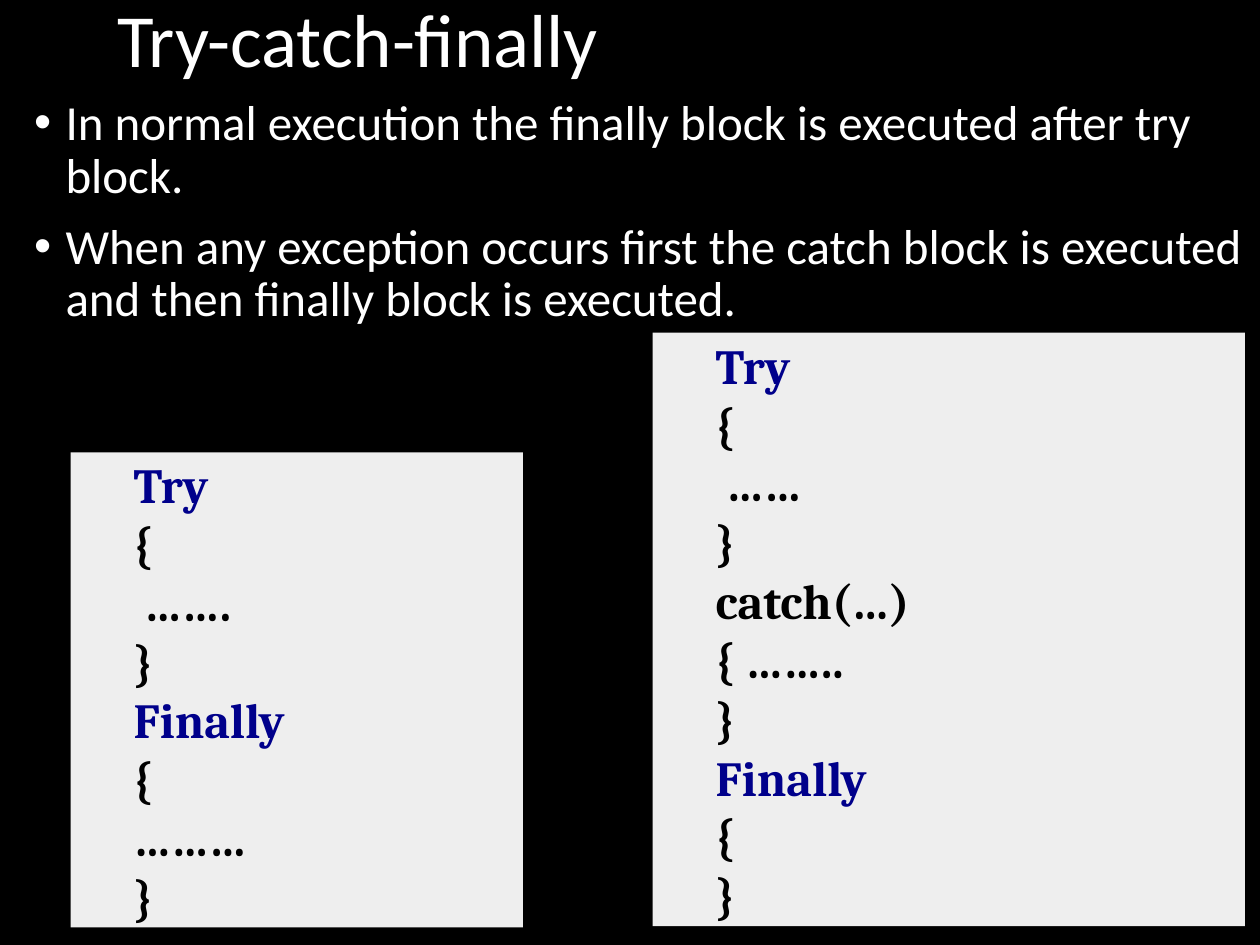
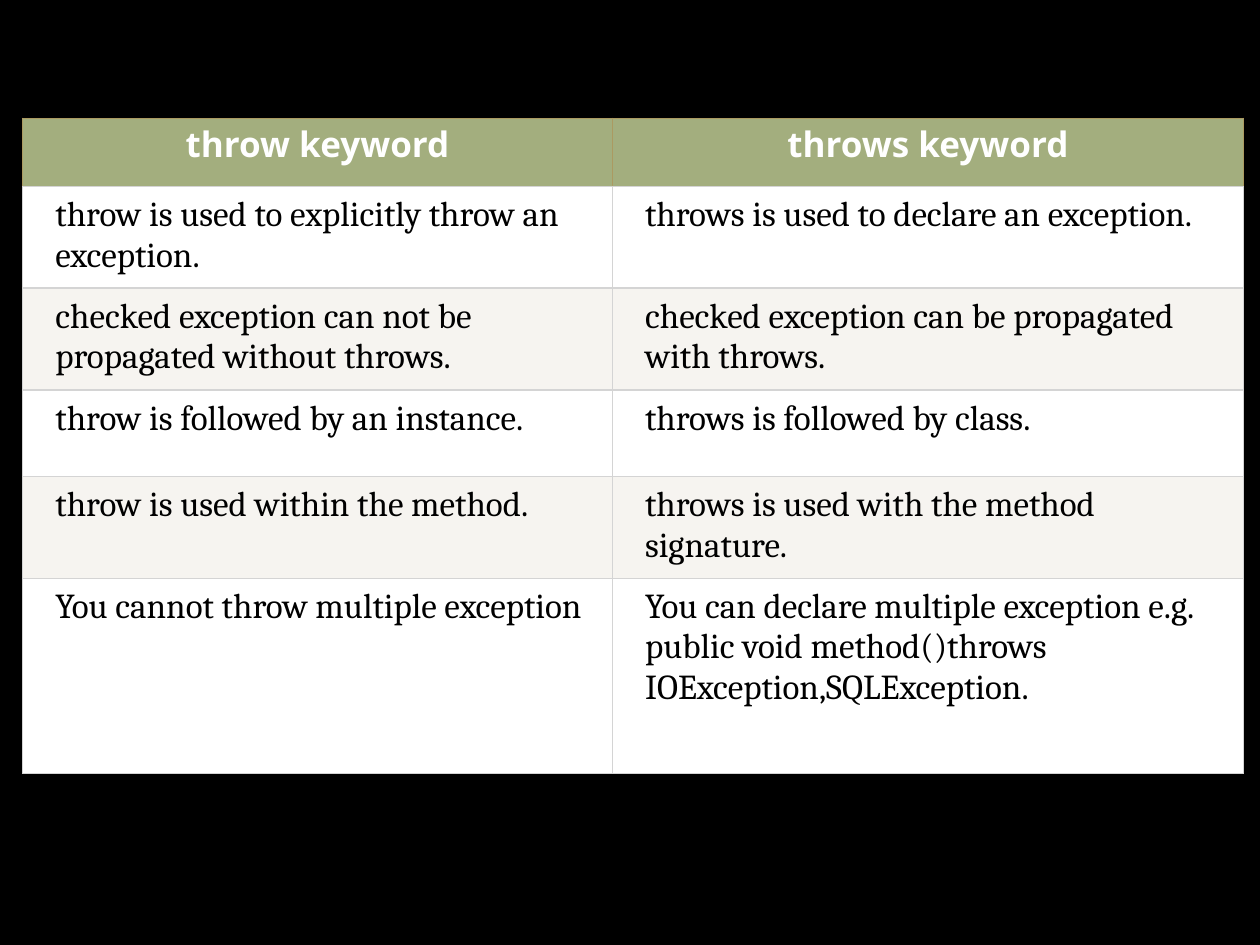
"""Build two slides on finally blocks and on throw versus throws."""
from lxml.etree import SubElement
from pptx import Presentation
from pptx.dml.color import RGBColor
from pptx.enum.shapes import MSO_SHAPE
from pptx.enum.text import MSO_ANCHOR, MSO_AUTO_SIZE, PP_ALIGN
from pptx.oxml.ns import qn
from pptx.util import Inches, Pt

BLACK = RGBColor(0x00, 0x00, 0x00)
WHITE = RGBColor(0xFF, 0xFF, 0xFF)
NAVY = RGBColor(0x00, 0x00, 0x8B)
CODE_GRAY = RGBColor(0xEE, 0xEE, 0xEE)
SAGE = RGBColor(0xA3, 0xAE, 0x7E)
CREAM = RGBColor(0xF6, 0xF4, 0xF0)
RULE_GRAY = RGBColor(0xD4, 0xD4, 0xD4)
RULE_GOLD = RGBColor(0xAB, 0x9A, 0x61)

TITLE = "Try-catch-finally"
BULLETS = [
    "In normal execution the finally block is executed after try block.",
    "When any exception occurs first the catch block is executed and then finally block is executed.",
]
KEYWORDS = ("Try", "Finally")
CODE_BOXES = [
    ((0.56, 3.59, 3.59, 3.77),
     ["Try", "{", " …….", "}", "Finally", "{", "………", "}"]),
    ((5.18, 2.64, 4.7, 4.71),
     ["Try", "{", " ……", "}", "catch(…)", "{ ……..", "}", "Finally", "{", "}"]),
]
COMPARISON = [
    ("throw keyword", "throws keyword"),
    ("throw is used to explicitly throw an exception.",
     "throws is used to declare an exception."),
    ("checked exception can not be propagated without throws.",
     "checked exception can be propagated with throws."),
    ("throw is followed by an instance.", "throws is followed by class."),
    ("throw is used within the method.",
     "throws is used with the method signature."),
    ("You cannot throw multiple exception",
     "You can declare multiple exception e.g.\n"
     "public void method()throws IOException,SQLException."),
]
COLUMN_WIDTHS = (4.68, 5.01)
ROW_HEIGHTS = (0.54, 0.69, 0.75, 0.69, 0.69, 1.55)


def place(shape, left, top, width, height):
    shape.left, shape.top = Inches(left), Inches(top)
    shape.width, shape.height = Inches(width), Inches(height)


def set_margins(target, side, end):
    target.margin_left = target.margin_right = Inches(side)
    target.margin_top = target.margin_bottom = Inches(end)


def write(para, text, font, size, color, bold=False):
    para.text = text
    for span in para.runs:
        span.font.name, span.font.size = font, Pt(size)
        span.font.bold, span.font.color.rgb = bold, color


def indent(para, left, first=0):
    properties = para._p.get_or_add_pPr()
    properties.set("marL", str(Inches(left)))
    properties.set("indent", str(Inches(first)))


def paragraphs(frame, texts):
    """Yield one paragraph of the frame for each text."""
    for number, text in enumerate(texts):
        yield (frame.add_paragraph() if number else frame.paragraphs[0]), text


def add_code_box(page, position, lines):
    box = page.shapes.add_shape(MSO_SHAPE.RECTANGLE, *map(Inches, position))
    box.shadow.inherit = False
    box.fill.solid()
    box.fill.fore_color.rgb = CODE_GRAY
    box.line.fill.background()
    frame = box.text_frame
    frame.word_wrap = True
    frame.auto_size = MSO_AUTO_SIZE.SHAPE_TO_FIT_TEXT
    frame.vertical_anchor = MSO_ANCHOR.MIDDLE
    set_margins(frame, 0, 0)
    for para, line in paragraphs(frame, lines):
        write(para, line, "Cambria", 28, NAVY if line in KEYWORDS else BLACK, True)
        para.level, para.alignment = 1, PP_ALIGN.JUSTIFY
        indent(para, 0.5)


def set_borders(cell, side_color, bottom_color):
    properties = cell._tc.get_or_add_tcPr()
    edges = [("a:lnL", side_color), ("a:lnR", side_color),
             ("a:lnT", side_color), ("a:lnB", bottom_color)]
    for position, (tag, color) in enumerate(edges):
        line = SubElement(properties, qn(tag), w=str(Pt(1)))
        fill = SubElement(line, qn("a:solidFill"))
        SubElement(fill, qn("a:srgbClr"), val=str(color))
        properties.insert(position, line)


def fill_cell(cell, text, row):
    para = cell.text_frame.paragraphs[0]
    cell.fill.solid()
    if row == 0:
        cell.fill.fore_color.rgb = SAGE
        cell.vertical_anchor = MSO_ANCHOR.MIDDLE
        set_margins(cell, 0.03, 0.03)
        write(para, text, "Open Sans", 20, WHITE, True)
        para.alignment, para.line_spacing = PP_ALIGN.CENTER, Pt(17.2)
        set_borders(cell, RULE_GOLD, RULE_GRAY)
    else:
        cell.fill.fore_color.rgb = WHITE if row % 2 else CREAM
        set_margins(cell, 0.05, 0.07)
        write(para, text, "Cambria", 20, BLACK)
        indent(para, 0.21)
        set_borders(cell, RULE_GRAY, RULE_GRAY)


def add_finally_slide(deck):
    page = deck.slides.add_slide(deck.slide_layouts[1])
    title, body = page.shapes.title, page.placeholders[1]
    place(title, 0.83, 0, 8.49, 0.73)
    title.text_frame.auto_size = MSO_AUTO_SIZE.NONE
    title.text_frame.vertical_anchor = MSO_ANCHOR.MIDDLE
    heading = title.text_frame.paragraphs[0]
    write(heading, TITLE, "Calibri", 42.9, WHITE)
    heading.alignment, heading.line_spacing = PP_ALIGN.LEFT, 0.8

    place(body, 0.17, 0.73, 9.81, 2.24)
    body.text_frame.auto_size = MSO_AUTO_SIZE.NONE
    for para, text in paragraphs(body.text_frame, BULLETS):
        write(para, text, "Calibri", 28, WHITE)
        para.line_spacing, para.space_before = 0.9, Pt(10)
        indent(para, 0.25, -0.25)

    for position, lines in CODE_BOXES:
        add_code_box(page, position, lines)


def add_comparison_slide(deck):
    page = deck.slides.add_slide(deck.slide_layouts[6])
    table = page.shapes.add_table(
        len(COMPARISON), len(COLUMN_WIDTHS), Inches(0.18), Inches(0.94),
        Inches(sum(COLUMN_WIDTHS)), Inches(sum(ROW_HEIGHTS))).table
    for column, width in zip(table.columns, COLUMN_WIDTHS):
        column.width = Inches(width)
    for row, (texts, height) in enumerate(zip(COMPARISON, ROW_HEIGHTS)):
        table.rows[row].height = Inches(height)
        for column, text in enumerate(texts):
            fill_cell(table.cell(row, column), text, row)


def main():
    deck = Presentation()
    deck.slide_width, deck.slide_height = Inches(10), Inches(7.5)
    background = deck.slide_master.background.fill
    background.solid()
    background.fore_color.rgb = BLACK
    add_finally_slide(deck)
    add_comparison_slide(deck)
    deck.save("out.pptx")


if __name__ == "__main__":
    main()
